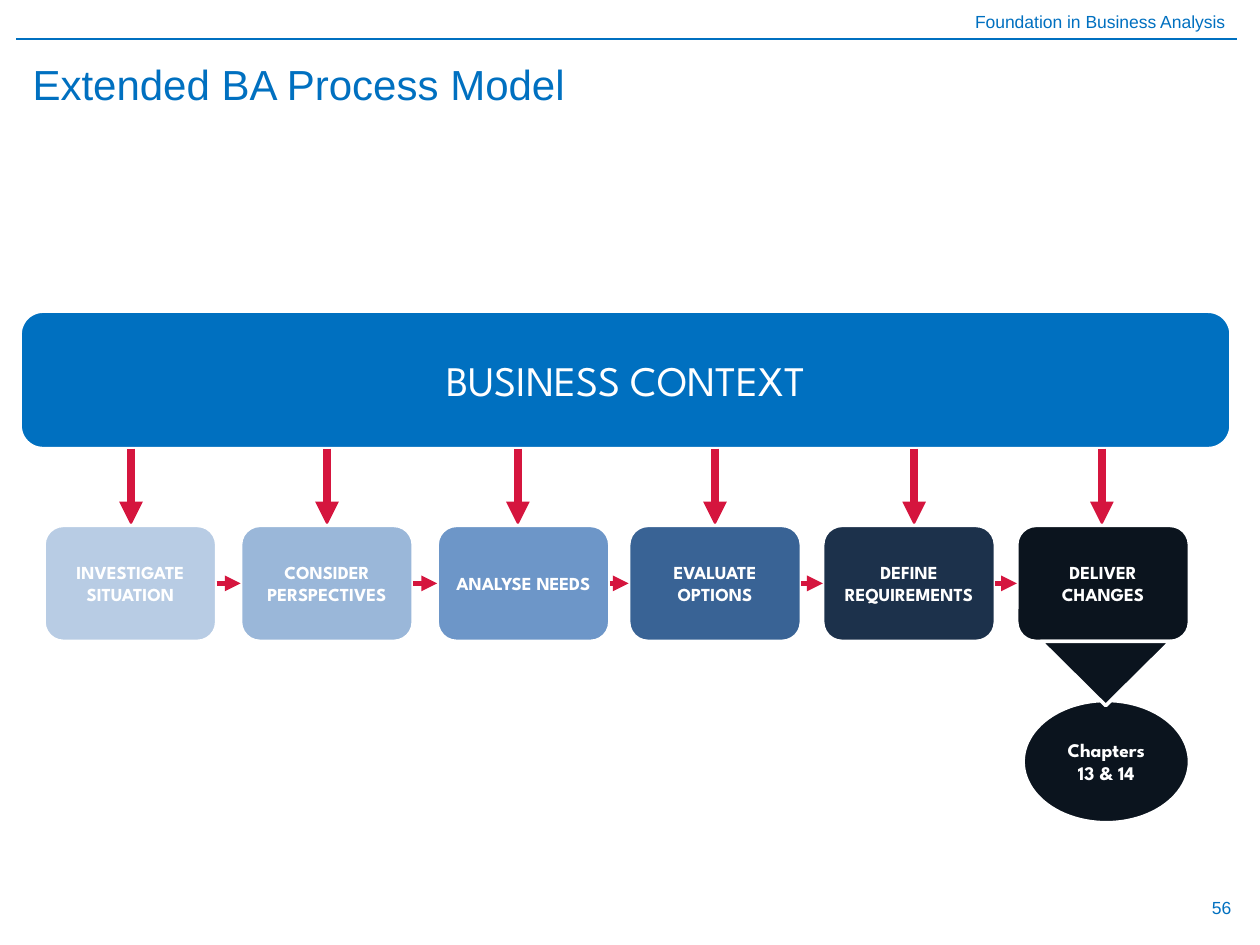
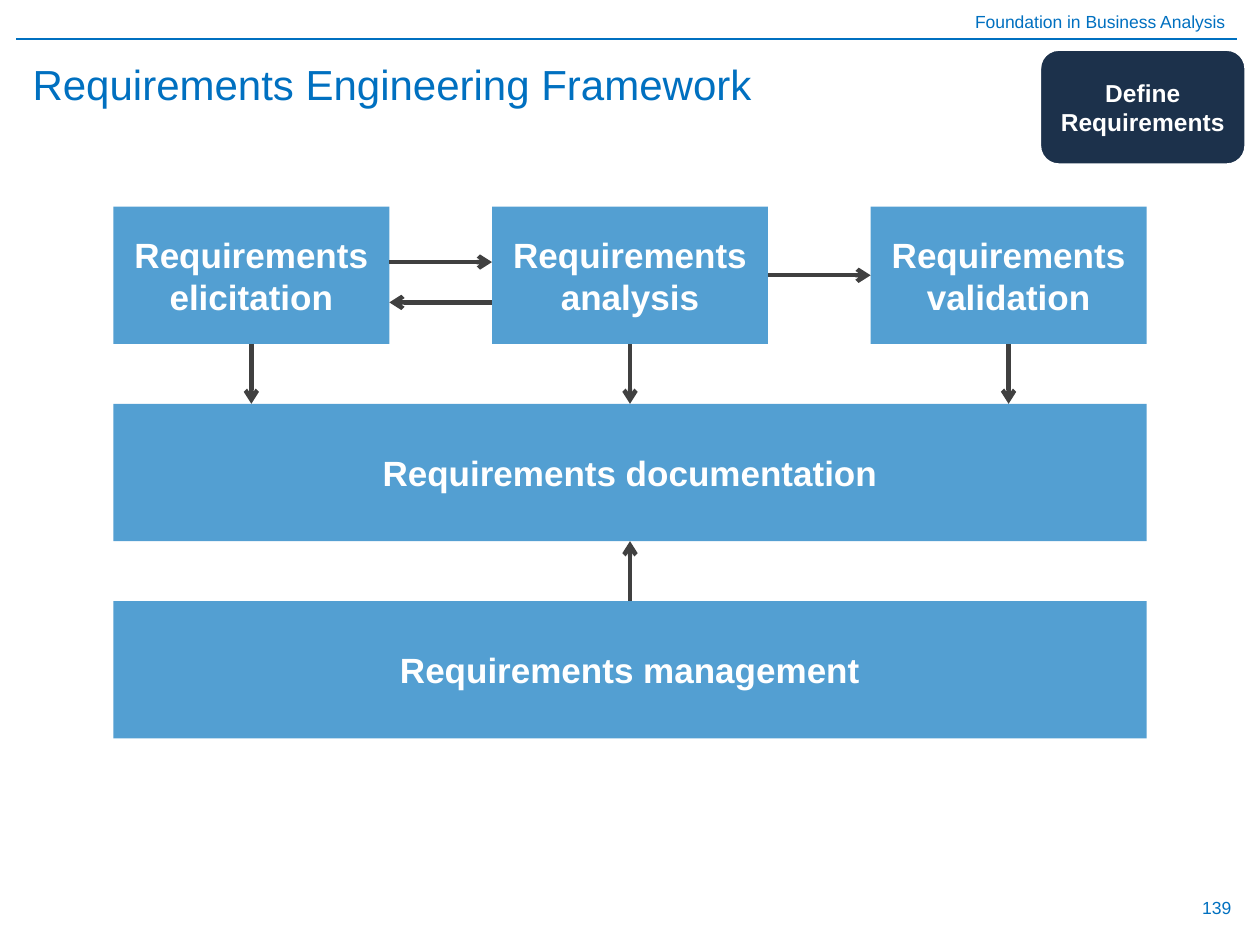
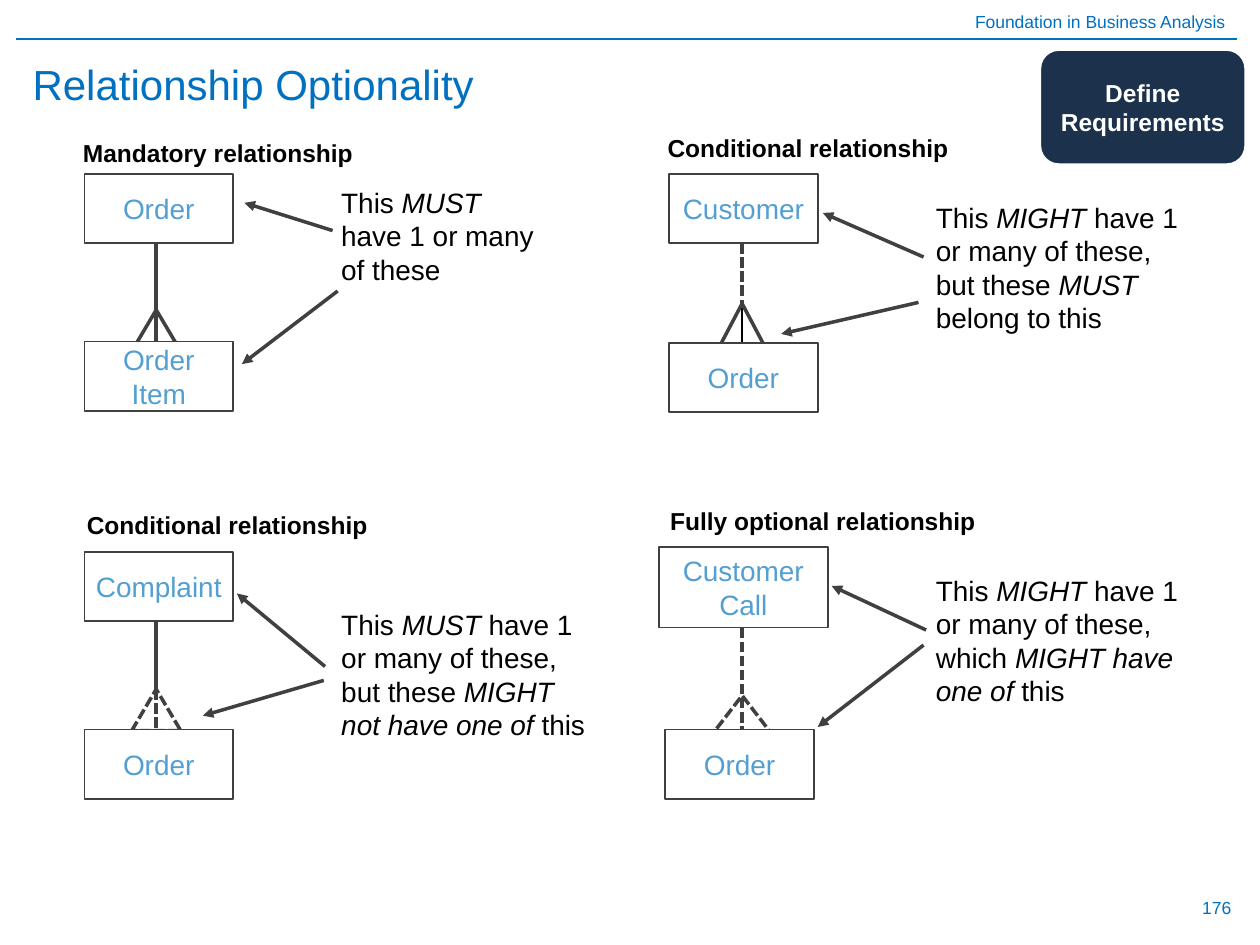
from dataclasses import dataclass
from itertools import pairwise
from typing import NamedTuple, Optional

import lxml.etree
import pptx
import pptx.dml.color
import pptx.enum.dml
import pptx.enum.shapes
import pptx.enum.text
import pptx.oxml
import pptx.oxml.ns
import pptx.util

Align = pptx.enum.text.PP_ALIGN
Anchor = pptx.enum.text.MSO_ANCHOR
Shape = pptx.enum.shapes.MSO_SHAPE
DASH = pptx.enum.dml.MSO_LINE.SQUARE_DOT

# The slide is a grid of 100 columns by 75 rows of square cells.
COLUMNS, ROWS = 100, 75
CELL = pptx.util.Inches(0.1)


class Area(NamedTuple):
    column: float
    row: float
    columns: float
    rows: float

    @property
    def center(self) -> float:
        return self.column + self.columns / 2

    @property
    def middle(self) -> float:
        return self.row + self.rows / 2

    @property
    def right(self) -> float:
        return self.column + self.columns

    @property
    def bottom(self) -> float:
        return self.row + self.rows


class Point(NamedTuple):
    column: float
    row: float


class Pen(NamedTuple):
    color: str
    width: float
    dash: Optional[pptx.enum.dml.MSO_LINE] = None
    head: str = ""


class Type(NamedTuple):
    size: float
    color: str
    bold: bool = False
    name: str = "Arial"


@dataclass(frozen=True)
class Theme:
    blue: str = "0070C0"
    sky: str = "539FD2"
    navy: str = "1C314B"
    night: str = "0B141E"
    white: str = "FFFFFF"
    title: Type = Type(24, "0070C0")
    small: Type = Type(10, "0070C0")
    context: Type = Type(24, "FFFFFF", name="League Spartan")
    stage: Type = Type(10.5, "FFFFFF", True, "League Spartan")
    chapters: Type = Type(11, "FFFFFF", True, "League Spartan")
    framework: Type = Type(20, "FFFFFF", True)
    badge: Type = Type(14, "FFFFFF", True)
    heading: Type = Type(14, "000000", True)
    note: Type = Type(16, "000000")
    entity: Type = Type(16, "539FD2")
    rule: Pen = Pen("0070C0", 0.75)
    rim: Pen = Pen("FFFFFF", 2)
    step: Pen = Pen("D5153E", 3, head="triangle")
    drop: Pen = Pen("D5153E", 4.5, head="triangle")
    flow: Pen = Pen("404040", 2.5, head="arrow")
    pointer: Pen = Pen("404040", 2, head="triangle")
    frame: Pen = Pen("404040", 1)
    solid: Pen = Pen("404040", 2)
    dashed: Pen = Pen("404040", 2, DASH)
    toe: Pen = Pen("000000", 1.5)


THEME = Theme()


class Stage(NamedTuple):
    text: str
    column: float
    arrow_column: float
    fill: str


@dataclass(frozen=True)
class Relationship:
    heading: str
    heading_area: Area
    parent: str
    parent_area: Area
    child: str
    child_area: Area
    stem_column: float
    foot_row: float
    foot_size: tuple[float, float]
    stem: Pen
    foot: Pen
    toe: Pen
    note: tuple[str, ...]
    note_area: Area
    pointers: tuple[tuple[Point, Point], ...]


STAGES = (
    Stage("INVESTIGATE SITUATION", 3.5, 10.4, "B8CCE4"),
    Stage("CONSIDER PERSPECTIVES", 19.1, 25.95, "9AB7D9"),
    Stage("ANALYSE NEEDS", 34.7, 41.1, "6D96C8"),
    Stage("EVALUATE OPTIONS", 49.9, 56.75, "396395"),
    Stage("DEFINE REQUIREMENTS", 65.3, 72.55, THEME.navy),
    Stage("DELIVER CHANGES", 80.7, 87.45, THEME.night),
)

RELATIONSHIPS = (
    Relationship(
        "Mandatory relationship", Area(5.6, 10.5, 26.7, 3.4),
        "Order", Area(6.7, 13.8, 11.8, 5.5), "Order Item", Area(6.7, 27.1, 11.8, 5.5),
        12.4, 24.6, (3.2, 2.7), THEME.solid, THEME.solid, THEME.solid,
        ("This *MUST* have 1 or many of these",), Area(26.1, 14.2, 17.3, 9),
        ((Point(26.4, 18.3), Point(19.4, 16.1)), (Point(26.8, 23.1), Point(19.2, 28.9))),
    ),
    Relationship(
        "Conditional relationship", Area(52, 10.1, 26.6, 3.4),
        "Customer", Area(53.1, 13.8, 11.8, 5.5), "Order", Area(53.1, 27.2, 11.8, 5.5),
        58.9, 24.1, (3.8, 3.6), THEME.dashed, THEME.solid, THEME.toe,
        ("This *MIGHT* have 1 or many of these,", "but these *MUST* belong to this"),
        Area(73.3, 15.4, 22, 11.8),
        ((Point(73.3, 20.4), Point(65.3, 16.9)), (Point(72.9, 24), Point(62, 26.5))),
    ),
    Relationship(
        "Conditional relationship", Area(5.9, 40, 33.2, 3.4),
        "Complaint", Area(6.7, 43.8, 11.8, 5.5), "Order", Area(6.7, 57.9, 11.8, 5.5),
        12.4, 54.7, (3.9, 3.3), THEME.solid, THEME.dashed, THEME.dashed,
        ("This *MUST* have 1 or many of these,", "but these *MIGHT not have one of* this"),
        Area(26.1, 47.7, 22.1, 11.8),
        ((Point(25.8, 52.9), Point(18.8, 47.1)), (Point(25.7, 54), Point(16.1, 56.8))),
    ),
    Relationship(
        "Fully optional relationship", Area(52.2, 39.7, 29.4, 3.4),
        "Customer Call", Area(52.3, 43.4, 13.4, 6.4), "Order", Area(52.8, 57.9, 11.8, 5.5),
        58.9, 55.2, (5.4, 3.5), THEME.dashed, THEME.dashed, THEME.dashed,
        ("This *MIGHT* have 1 or many of these,", "which *MIGHT have one of* this"),
        Area(73.3, 45, 22, 11.8),
        ((Point(73.5, 50), Point(66, 46.5)), (Point(73.3, 51.2), Point(64.9, 57.7))),
    ),
)


def cells(*counts: float) -> list[int]:
    return [round(count * CELL) for count in counts]


def rgb(color: str) -> pptx.dml.color.RGBColor:
    return pptx.dml.color.RGBColor.from_string(color)


def apply_pen(line, pen: Pen) -> None:
    line.color.rgb = rgb(pen.color)
    line.width = pptx.util.Pt(pen.width)
    if pen.dash:
        line.dash_style = pen.dash


def write(frame, paragraphs: tuple[str, ...], type_: Type, align=Align.LEFT,
          anchor=Anchor.TOP) -> None:
    """Fill a text frame; words between asterisks become italic."""
    frame.word_wrap = True
    frame.vertical_anchor = anchor
    for index, text in enumerate(paragraphs):
        para = frame.add_paragraph() if index else frame.paragraphs[0]
        para.alignment = align
        font = para.font
        font.name, font.size, font.bold = type_.name, pptx.util.Pt(type_.size), type_.bold
        font.color.rgb = rgb(type_.color)
        for part, words in enumerate(text.split("*")):
            if words:
                span = para.add_run()
                span.text = words
                if part % 2:
                    span.font.italic = True


def add_text(page, area: Area, paragraphs: tuple[str, ...], type_: Type,
             align=Align.LEFT, anchor=Anchor.TOP) -> None:
    write(page.shapes.add_textbox(*cells(*area)).text_frame, paragraphs, type_, align, anchor)


def add_box(page, kind, area: Area, fill: Optional[str] = None, pen: Optional[Pen] = None,
            text: str = "", type_: Type = THEME.stage):
    box = page.shapes.add_shape(kind, *cells(*area))
    box.shadow.inherit = False
    if fill:
        box.fill.solid()
        box.fill.fore_color.rgb = rgb(fill)
    else:
        box.fill.background()
    if pen:
        apply_pen(box.line, pen)
    else:
        box.line.fill.background()
    if text:
        write(box.text_frame, (text,), type_, Align.CENTER, Anchor.MIDDLE)
    return box


def add_line(page, start: Point, end: Point, pen: Pen) -> None:
    line = page.shapes.add_connector(
        pptx.enum.shapes.MSO_CONNECTOR.STRAIGHT, *cells(*start, *end))
    apply_pen(line.line, pen)
    qn = pptx.oxml.ns.qn
    if pen.head:
        lxml.etree.SubElement(line.line._get_or_add_ln(), qn("a:tailEnd"), type=pen.head)
    lxml.etree.SubElement(line._element.spPr, qn("a:effectLst"))


def add_page(deck, title: str, number: int):
    page = deck.slides.add_slide(deck.slide_layouts[6])
    add_text(page, Area(0, 0.4, 98.2, 2.7), ("Foundation in Business Analysis",),
             THEME.small, Align.RIGHT)
    add_line(page, Point(1.3, 3.1), Point(98.2, 3.1), THEME.rule)
    add_text(page, Area(75.4, 70, 23.3, 4), (str(number),), THEME.small,
             Align.RIGHT, Anchor.MIDDLE)
    add_text(page, Area(1.6, 3.9, 96.1, 5.5), (title,), THEME.title, anchor=Anchor.MIDDLE)
    return page


def add_badge(page) -> None:
    add_box(page, Shape.ROUNDED_RECTANGLE, Area(82.5, 3.9, 16.4, 9.2), THEME.navy,
            THEME.rim, "Define Requirements", THEME.badge)


def build_process_model(deck) -> None:
    page = add_page(deck, "Extended BA Process Model", 56)
    context = Area(1.6, 24.7, 96.1, 10.9)
    add_box(page, Shape.ROUNDED_RECTANGLE, context, THEME.blue, THEME.rim,
            "BUSINESS CONTEXT", THEME.context)
    areas = [Area(stage.column, 41.7, 13.7, 9.2) for stage in STAGES]
    for stage, area in zip(STAGES, areas):
        add_line(page, Point(stage.arrow_column, context.bottom),
                 Point(stage.arrow_column, area.row), THEME.drop)
        add_box(page, Shape.ROUNDED_RECTANGLE, area, stage.fill, THEME.rim, stage.text)
    for area, following in pairwise(areas):
        add_line(page, Point(area.right, area.middle),
                 Point(following.column, area.middle), THEME.step)
    add_box(page, Shape.OVAL, Area(81.2, 55.6, 13.2, 9.7), THEME.night, THEME.rim,
            "Chapters 13 & 14", THEME.chapters)
    marker = add_box(page, Shape.ISOSCELES_TRIANGLE, Area(82.6, 50.9, 10.3, 5.1),
                     THEME.night, THEME.rim)
    marker.rotation = 180


def build_framework(deck) -> None:
    page = add_page(deck, "Requirements Engineering Framework", 139)
    left, width, height = 9, 82, 10.9
    top, second, third = (16.4 + 15.65 * index for index in range(3))
    activities = [Area(left + 30.05 * index, top, 21.9, height) for index in range(3)]
    documentation = Area(left, second, width, height)
    management = Area(left, third, width, height)
    names = ("elicitation", "analysis", "validation", "documentation", "management")
    for name, area in zip(names, (*activities, documentation, management)):
        add_box(page, Shape.RECTANGLE, area, THEME.sky, None,
                f"Requirements {name}", THEME.framework)
    for area in activities:
        add_line(page, Point(area.center, area.bottom), Point(area.center, second), THEME.flow)
    elicitation, analysis, validation = activities
    add_line(page, Point(elicitation.right, 20.8), Point(analysis.column, 20.8), THEME.flow)
    add_line(page, Point(analysis.column, 24), Point(elicitation.right, 24), THEME.flow)
    add_line(page, Point(analysis.right, analysis.middle),
             Point(validation.column, analysis.middle), THEME.flow)
    add_line(page, Point(management.center, third),
             Point(management.center, documentation.bottom), THEME.flow)
    add_badge(page)


def add_entity(page, name: str, area: Area) -> None:
    box = add_box(page, Shape.RECTANGLE, area, THEME.white, THEME.frame, name, THEME.entity)
    frame = box.text_frame
    frame.margin_left = frame.margin_right = pptx.util.Inches(0.08)
    frame.margin_top = frame.margin_bottom = 0


def add_relationship(page, relation: Relationship) -> None:
    """Draw two entities joined by a crow's foot, with heading, note and pointers."""
    start, apex, end = (Point(relation.stem_column, row) for row in (
        relation.parent_area.bottom, relation.foot_row, relation.child_area.row))
    if relation.stem == relation.toe:
        add_line(page, start, end, relation.stem)
    else:
        add_line(page, start, apex, relation.stem)
        add_line(page, apex, end, relation.toe)
    width, height = relation.foot_size
    add_box(page, Shape.FLOWCHART_EXTRACT,
            Area(apex.column - width / 2, apex.row, width, height), pen=relation.foot)
    add_entity(page, relation.parent, relation.parent_area)
    add_entity(page, relation.child, relation.child_area)
    add_text(page, relation.heading_area, (relation.heading,), THEME.heading)
    add_text(page, relation.note_area, relation.note, THEME.note)
    for tail, tip in relation.pointers:
        add_line(page, tail, tip, THEME.pointer)


def build_optionality(deck) -> None:
    page = add_page(deck, "Relationship Optionality", 176)
    for relation in RELATIONSHIPS:
        add_relationship(page, relation)
    add_badge(page)


def main() -> None:
    deck = pptx.Presentation()
    deck.slide_width, deck.slide_height = cells(COLUMNS, ROWS)
    build_process_model(deck)
    build_framework(deck)
    build_optionality(deck)
    deck.save("out.pptx")


if __name__ == "__main__":
    main()
